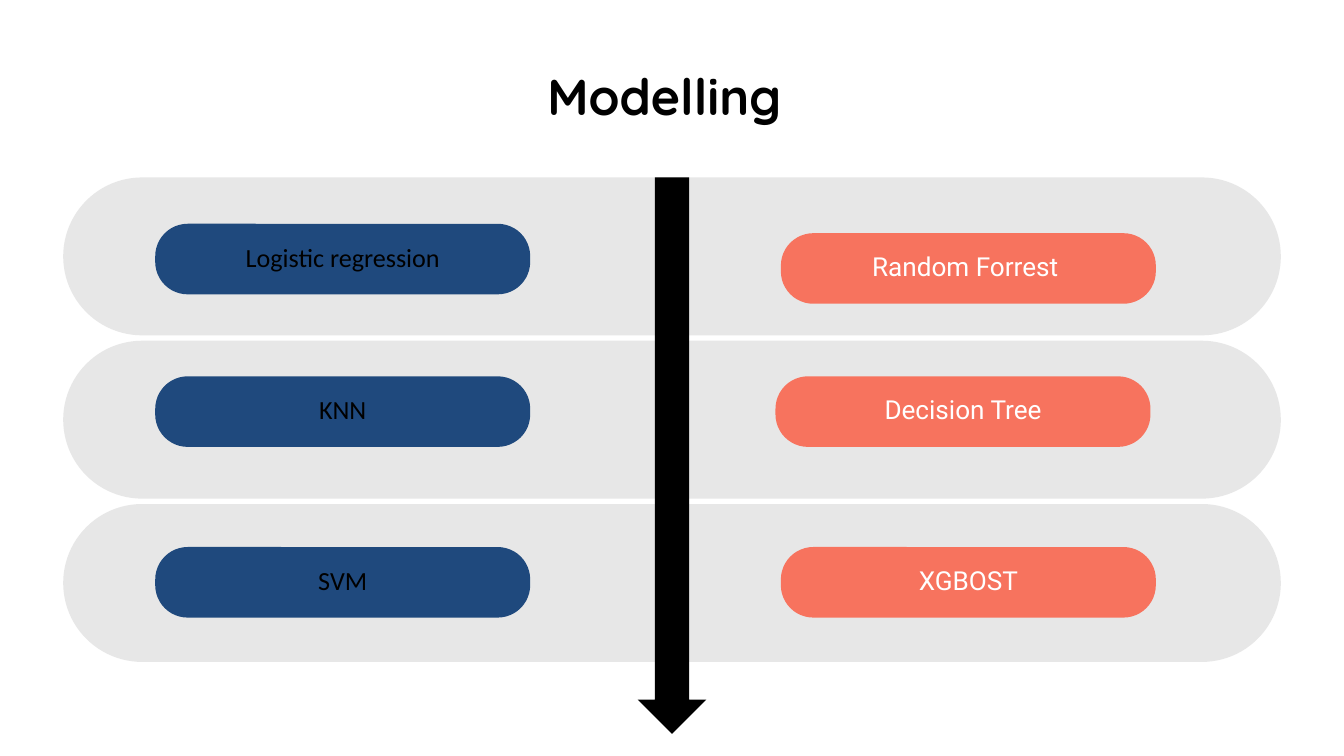
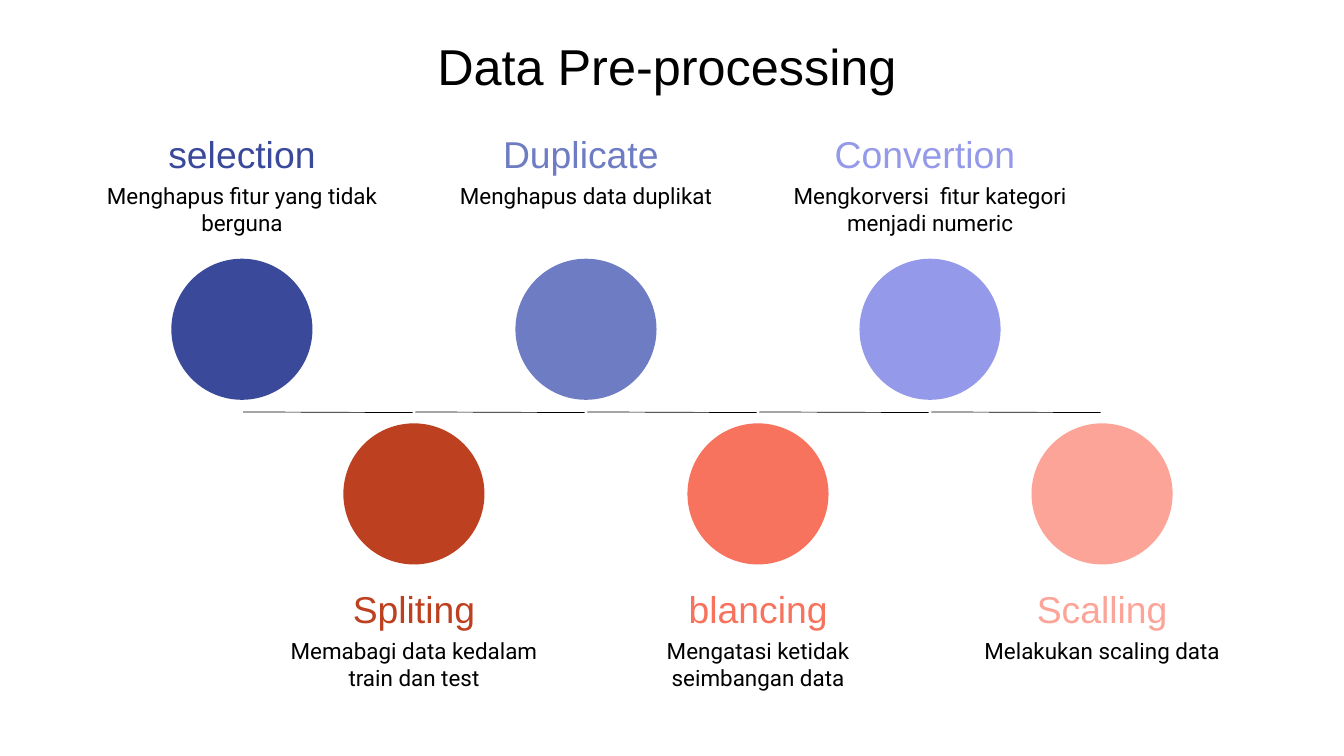
from pptx import Presentation
from pptx.dml.color import RGBColor
from pptx.enum.shapes import MSO_CONNECTOR, MSO_SHAPE
from pptx.enum.text import MSO_ANCHOR, MSO_AUTO_SIZE, PP_ALIGN
from pptx.oxml.ns import qn
from pptx.util import Inches, Pt
from lxml import etree

ROUND = MSO_SHAPE.ROUNDED_RECTANGLE
ARROW = MSO_SHAPE.DOWN_ARROW
OVAL = MSO_SHAPE.OVAL
LINE = MSO_CONNECTOR.STRAIGHT
TOP, MIDDLE = MSO_ANCHOR.TOP, MSO_ANCHOR.MIDDLE
CENTER = PP_ALIGN.CENTER
FIXED = MSO_AUTO_SIZE.NONE

COLORS = {
    "black": "000000", "white": "FFFFFF", "band": "E7E7E7",
    "navy": "1F497D", "coral": "F7735E", "indigo": "3B499B",
    "slate": "6E7DC3", "lilac": "9599E9", "rust": "BD4120",
    "peach": "FCA497",
}


def write(box, text, font, size, color, lead, bold=False, anchor=TOP, inset=0):
    frame = box.text_frame
    frame.text = text
    para = frame.paragraphs[0]
    pad = Inches(inset)
    formats = {
        frame: {"word_wrap": True, "auto_size": FIXED, "vertical_anchor": anchor,
                "margin_left": pad, "margin_right": pad,
                "margin_top": pad, "margin_bottom": pad},
        para: {"alignment": CENTER, "line_spacing": Pt(lead),
               "space_before": Pt(0), "space_after": Pt(0)},
    }
    for target, values in formats.items():
        for name, value in values.items():
            setattr(target, name, value)
    face = para.runs[0].font
    for name, value in {"name": font, "size": Pt(size), "bold": bold}.items():
        setattr(face, name, value)
    face.color.rgb = RGBColor.from_string(COLORS[color])


def draw(slide, kind, left, top, width, height, color):
    shape = slide.shapes.add_shape(
        kind, Inches(left), Inches(top), Inches(width), Inches(height))
    shape.shadow.inherit = False
    shape.fill.solid()
    shape.fill.fore_color.rgb = RGBColor.from_string(COLORS[color])
    shape.line.fill.background()
    return shape


deck = Presentation()
deck.slide_width = Inches(20)
deck.slide_height = Inches(11.25)

titles = [
    ("Modelling ", 1.08, 0.97, "Quicksand", True),
    ("Data Pre-processing ", 1.12, 0.52, "Arial", False),
]
slides = []
for text, left, top, font, bold in titles:
    slide = deck.slides.add_slide(deck.slide_layouts[5])
    title = slide.shapes.title
    place = {"left": left, "top": top, "width": 17.82, "height": 0.86}
    for name, value in place.items():
        setattr(title, name, Inches(value))
    write(title, text, font, 54, "black", 64.8, bold)
    slides.append(slide)
models, steps = slides

for row in range(3):
    band = draw(models, ROUND, 0.94, 2.64 + 2.43 * row, 18.12, 2.35, "band")
    band.adjustments[0] = 0.5

draw(models, ARROW, 9.49, 2.64, 1.02, 8.28, "black")

pills = [
    ("Logistic regression", 2.31, 3.33, "navy", "Calibri", "black"),
    ("KNN", 2.31, 5.6, "navy", "Calibri", "black"),
    ("SVM", 2.31, 8.14, "navy", "Calibri", "black"),
    ("Random Forrest ", 11.62, 3.47, "coral", "Roboto", "white"),
    ("Decision Tree", 11.54, 5.6, "coral", "Roboto", "white"),
    ("XGBOST", 11.62, 8.14, "coral", "Roboto", "white"),
]
for text, left, top, fill, font, ink in pills:
    pill = draw(models, ROUND, left, top, 5.58, 1.05, fill)
    pill.adjustments[0] = 0.46
    write(pill, text, font, 28, ink, 28.8, anchor=MIDDLE, inset=0.06)

stages = [
    ("selection", "Menghapus fitur yang tidak berguna", "indigo"),
    ("Spliting", "Memabagi data kedalam train dan test", "rust"),
    ("Duplicate ", "Menghapus data duplikat", "slate"),
    ("blancing", "Mengatasi ketidak seimbangan data", "coral"),
    ("Convertion ", "Mengkorversi  fitur kategori menjadi numeric", "lilac"),
    ("Scalling", "Melakukan scaling data", "peach"),
]
step = 2.56
for i in range(len(stages) - 1):
    start = 3.62 + step * i
    link = steps.shapes.add_connector(
        LINE, Inches(start), Inches(6.13), Inches(start + 2.52), Inches(6.14))
    link.line.color.rgb = RGBColor.from_string(COLORS["black"])
    link.line.width = Pt(0.75)
    etree.SubElement(link._element.spPr, qn("a:effectLst"))

for i, (head, body, color) in enumerate(stages):
    mid = 3.6 + step * i
    disc, top = ((3.85, 1.95), (6.3, 8.72))[i % 2]
    draw(steps, OVAL, mid - 1.05, disc, 2.1, 2.1, color)
    labels = [
        (head, top, 4.82, 0.67, "Arial", 40, color, 48),
        (body, top + 0.76, 4.12, 0.8, "Roboto", 24, "black", 28.8),
    ]
    for text, y, width, height, font, size, ink, lead in labels:
        box = steps.shapes.add_textbox(
            Inches(mid - width / 2), Inches(y), Inches(width), Inches(height))
        write(box, text, font, size, ink, lead)

deck.save("out.pptx")
